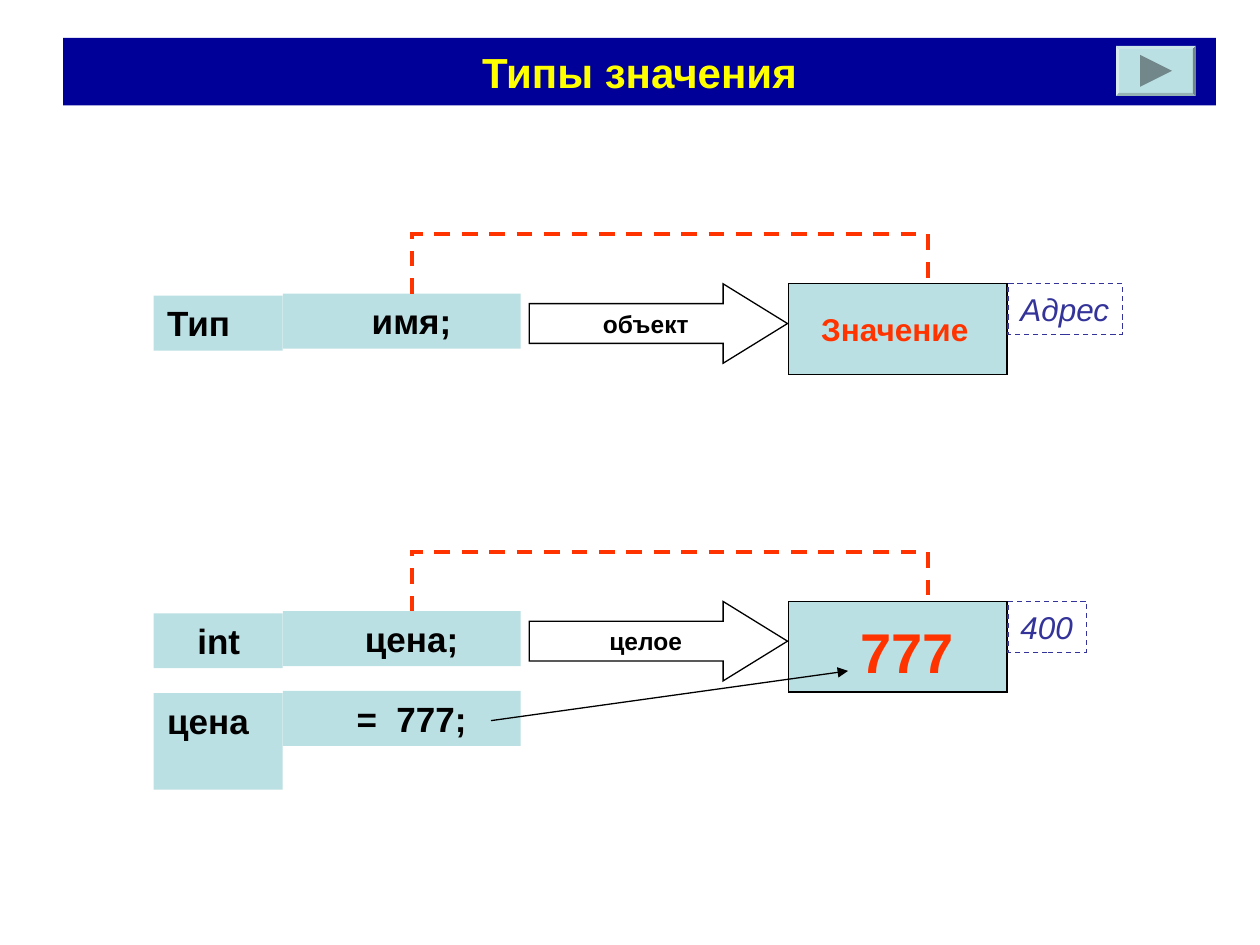
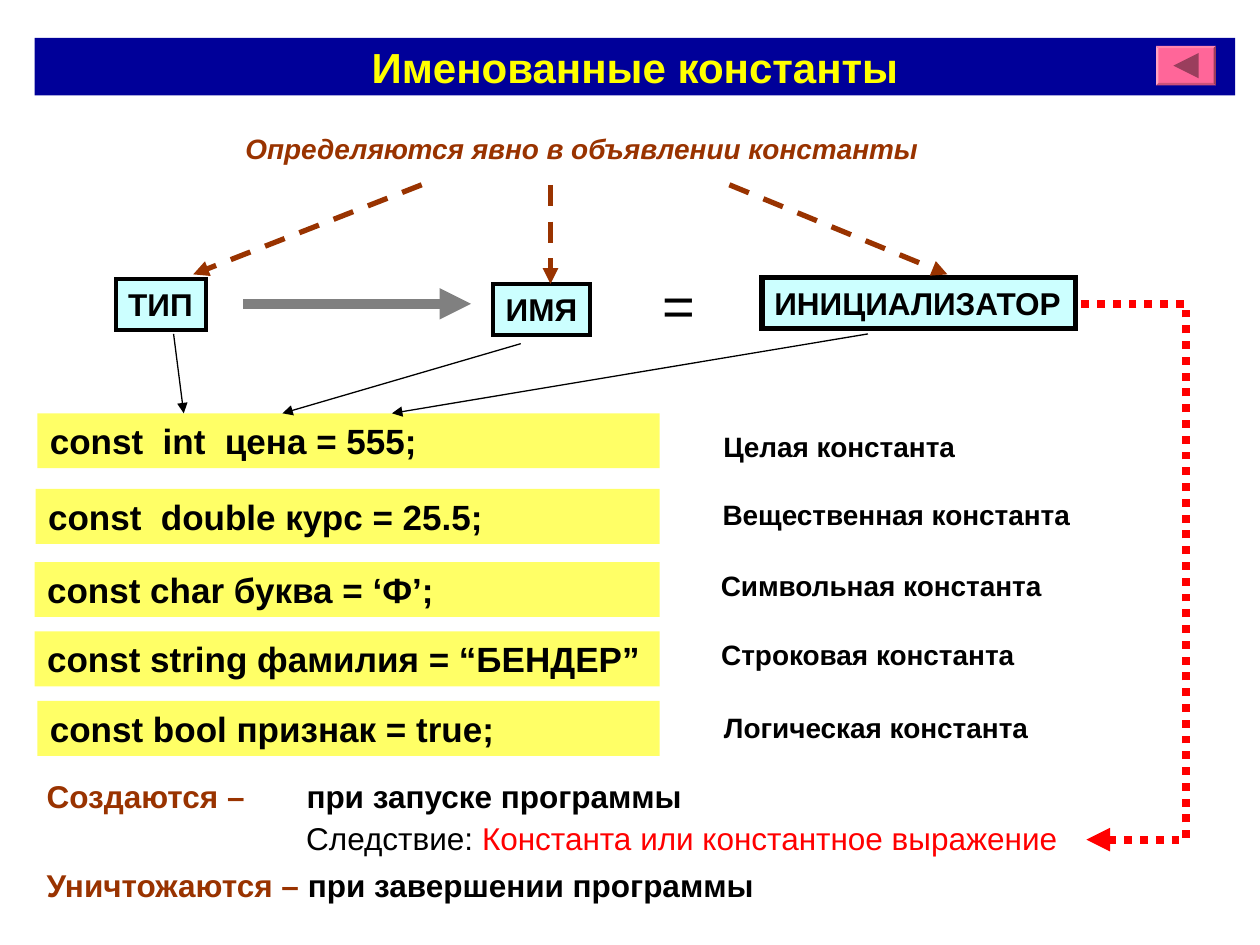
"""Build two slides on value types and named constants."""
from dataclasses import dataclass
from typing import Optional

from lxml import etree
from pptx import Presentation
from pptx import util as u
from pptx.dml.color import RGBColor
from pptx.enum import dml, shapes, text
from pptx.oxml.ns import qn

COLORS = {
    "navy": "000099", "yellow": "FFFF00", "teal": "BBE0E3", "black": "000000",
    "orange": "FF3300", "indigo": "333399", "brown": "993300", "cyan": "CCFFFF",
    "lemon": "FFFF66", "gray": "808080", "red": "FF0000", "pink": "FF6699",
    "dark teal": "718789", "dark pink": "9A3E5D",
}
STYLES = {
    "title": {"size": 24, "bold": True, "color": "yellow"},
    "code": {"size": 20, "bold": True, "color": "black"},
    "term": {"size": 18, "bold": True, "color": "black"},
    "plain": {"size": 18, "color": "black"},
    "plain red": {"size": 18, "color": "red"},
    "address": {"size": 18, "italic": True, "color": "indigo"},
    "value": {"size": 18, "bold": True, "color": "orange"},
    "big value": {"size": 32, "bold": True, "color": "orange"},
    "arrow": {"size": 14, "bold": True, "color": "black"},
    "label": {"size": 16, "bold": True, "color": "black"},
    "remark": {"size": 16, "bold": True, "italic": True, "color": "brown"},
    "lead": {"size": 18, "bold": True, "color": "brown"},
    "sign": {"size": 32, "color": "black"},
}
LEFT, CENTER = text.PP_ALIGN.LEFT, text.PP_ALIGN.CENTER
TOP, MIDDLE = text.MSO_ANCHOR.TOP, text.MSO_ANCHOR.MIDDLE
DASH, DOT = dml.MSO_LINE.DASH, dml.MSO_LINE.ROUND_DOT
PRESETS = shapes.MSO_SHAPE


@dataclass
class Stroke:
    """Colour, width and pattern of a line."""
    color: str
    width: float = 0.75
    dash: Optional[dml.MSO_LINE] = None


@dataclass
class Panel:
    """A preset shape or plain text block with its spans of text."""
    left: float
    top: float
    width: float
    height: float
    spans: tuple = ()
    fill: Optional[str] = None
    stroke: Optional[Stroke] = None
    align: text.PP_ALIGN = LEFT
    anchor: text.MSO_ANCHOR = TOP
    wrap: bool = True
    inset: float = 7.2
    tab: float = 0
    preset: shapes.MSO_SHAPE = PRESETS.RECTANGLE
    adjust: tuple = ()
    turn: float = 0


@dataclass
class Arrow:
    """A straight line with a head at its end."""
    start: tuple
    end: tuple
    stroke: Stroke


@dataclass
class Declaration:
    """One row of the declaration diagram."""
    shift: float
    kind: str
    kind_align: text.PP_ALIGN
    name: str
    link: str
    address: str
    address_width: float
    value: Panel


@dataclass
class Constant:
    """A constant with its caption."""
    code: str
    left: float
    top: float
    caption: str
    caption_left: float
    caption_top: float


def paint(color: str) -> RGBColor:
    """Turn a colour name into a colour value."""
    return RGBColor.from_string(COLORS[color])


def draw_stroke(line, stroke: Optional[Stroke]) -> None:
    """Apply a stroke with sharp corners, or hide the line."""
    if stroke is None:
        line.fill.background()
        return
    line.color.rgb = paint(stroke.color)
    line.width = u.Pt(stroke.width)
    if stroke.dash is not None:
        line.dash_style = stroke.dash
    etree.SubElement(line._get_or_add_ln(), qn("a:miter"), lim="800000")


def add_head(line, end: str) -> None:
    """Add a triangle at headEnd or tailEnd."""
    etree.SubElement(line._get_or_add_ln(), qn(f"a:{end}"), type="triangle")


def add_span(para, words: str, style: str) -> None:
    """Add a run in a named style."""
    span = para.add_run()
    span.text = words
    span.font.name = "Arial"
    for key, value in STYLES[style].items():
        if key == "color":
            span.font.color.rgb = paint(value)
        else:
            setattr(span.font, key, u.Pt(value) if key == "size" else value)


def draw_panel(page, panel: Panel) -> None:
    """Draw a panel with its text."""
    frame = [u.Pt(n) for n in (panel.left, panel.top, panel.width, panel.height)]
    if panel.fill or panel.stroke:
        box = page.shapes.add_shape(panel.preset, *frame)
        box.shadow.inherit = False
        box.rotation = panel.turn
        for index, value in enumerate(panel.adjust):
            box.adjustments[index] = value
        draw_stroke(box.line, panel.stroke)
    else:
        box = page.shapes.add_textbox(*frame)
    if panel.fill:
        box.fill.solid()
        box.fill.fore_color.rgb = paint(panel.fill)
    else:
        box.fill.background()
    if not panel.spans:
        return
    layout = {
        "word_wrap": panel.wrap, "vertical_anchor": panel.anchor,
        "margin_left": u.Pt(panel.inset), "margin_right": u.Pt(7.2),
        "margin_top": u.Pt(3.6), "margin_bottom": u.Pt(3.6),
    }
    if not panel.wrap:
        layout["auto_size"] = text.MSO_AUTO_SIZE.SHAPE_TO_FIT_TEXT
    for key, value in layout.items():
        setattr(box.text_frame, key, value)
    para = box.text_frame.paragraphs[0]
    para.alignment = panel.align
    if panel.tab:
        stops = etree.SubElement(para._p.get_or_add_pPr(), qn("a:tabLst"))
        etree.SubElement(stops, qn("a:tab"), pos=str(u.Pt(panel.tab)), algn="l")
    for words, style in panel.spans:
        add_span(para, words, style)


def draw_arrow(page, arrow: Arrow) -> None:
    """Draw a straight arrow."""
    ends = [u.Pt(n) for n in (*arrow.start, *arrow.end)]
    line = page.shapes.add_connector(shapes.MSO_CONNECTOR.STRAIGHT, *ends)
    etree.SubElement(line._element.spPr, qn("a:effectLst"))
    draw_stroke(line.line, arrow.stroke)
    add_head(line.line, "tailEnd")


def draw_route(page, points: list, stroke: Stroke, head: bool = False) -> None:
    """Draw an open bent line."""
    first, *rest = [(u.Pt(x), u.Pt(y)) for x, y in points]
    builder = page.shapes.build_freeform(*first)
    builder.add_line_segments(rest, close=False)
    route = builder.convert_to_shape()
    route.shadow.inherit = False
    route.fill.background()
    draw_stroke(route.line, stroke)
    if head:
        add_head(route.line, "headEnd")


def draw_title(page, words: str, left: float, width: float, height: float) -> None:
    """Draw the title band."""
    draw_panel(page, Panel(left, 21.6, width, height, ((words, "title"),),
                           "navy", align=CENTER, anchor=MIDDLE))


def draw_button(page, left: float, width: float, height: float, color: str,
                turn: float) -> None:
    """Draw a bevelled button with a turned triangle."""
    side = height * 0.64
    draw_panel(page, Panel(left, 26.2, width, height, fill=color,
                           preset=PRESETS.BEVEL, adjust=(0.06,)))
    draw_panel(page, Panel(left + (width - side) / 2, 26.2 + (height - side) / 2,
                           side, side, fill=f"dark {color}", turn=turn,
                           preset=PRESETS.ISOSCELES_TRIANGLE))


def draw_tiles(page, top: float, kind: str, name: str, kind_align=LEFT,
               kind_height: float = 31.4) -> None:
    """Draw a pair of code tiles."""
    draw_panel(page, Panel(87.8, top + 1.2, 73.8, kind_height, ((kind, "code"),),
                           "teal", align=kind_align, inset=7.8))
    draw_panel(page, Panel(161.6, top, 136, 31.4, ((name, "code"),),
                           "teal", align=CENTER, inset=18.3))


def draw_declaration(page, row: Declaration) -> None:
    """Draw type, name, object arrow, value and address."""
    shift = row.shift
    draw_tiles(page, 167.8 + shift, row.kind, row.name, row.kind_align)
    draw_panel(page, Panel(450.6, 162.2 + shift, 124.8, 51.8,
                           fill="teal", stroke=Stroke("black")))
    draw_panel(page, Panel(576, 162.2 + shift, row.address_width, 29,
                           ((row.address, "address"),),
                           stroke=Stroke("indigo", dash=DASH), wrap=False))
    draw_panel(page, row.value)
    draw_panel(page, Panel(302.4, 162.2 + shift, 147.6, 45.4, ((row.link, "arrow"),),
                           stroke=Stroke("black"), align=CENTER, anchor=MIDDLE,
                           inset=11.1, preset=PRESETS.RIGHT_ARROW, adjust=(0.5, 0.81)))
    points = [(235.2, 167.8), (235.2, 133.8), (530.2, 133.8), (530.2, 162.2)]
    draw_route(page, [(x, y + shift) for x, y in points], Stroke("orange", 2.25, DASH))


def build_types(page) -> None:
    """Build the slide on value types."""
    draw_title(page, "Типы значения", 36, 658.8, 38.6)
    rows = [
        Declaration(0, "Тип", LEFT, "имя;", "объект", "Адрес", 65.4,
                    Panel(462.2, 173.6, 98.6, 29, (("Значение", "value"),), wrap=False)),
        Declaration(181.5, "int", CENTER, "цена;", "целое", "400", 45,
                    Panel(484.6, 349.2, 67.6, 46, (("777", "big value"),))),
    ]
    for row in rows:
        draw_declaration(page, row)
    draw_tiles(page, 394.8, "цена", "=  777;", kind_height=55.2)
    draw_button(page, 637.8, 45.6, 28.6, "teal", 90)
    draw_arrow(page, Arrow((280.6, 411.8), (484.6, 383.4), Stroke("black")))


def build_constants(page) -> None:
    """Build the slide on named constants."""
    draw_title(page, "Именованные константы", 19.8, 686, 33)
    thick, thin = Stroke("brown", 3, DASH), Stroke("black")
    border, heavy = Stroke("black", 2.25), Stroke("black", 3)
    panels = [
        Panel(133.2, 71.6, 471, 26.6,
              (("Определяются явно в объявлении константы", "remark"),)),
        Panel(66.2, 159.6, 51.6, 29, (("ТИП", "term"),), "cyan", border, wrap=False),
        Panel(281.9, 162.4, 55.4, 29, (("ИМЯ", "term"),), "cyan", border, wrap=False),
        Panel(435.4, 158.6, 179.4, 29, (("ИНИЦИАЛИЗАТОР", "term"),), "cyan", heavy,
              wrap=False),
        Panel(371.5, 151.2, 33.2, 46, (("=", "sign"),), wrap=False),
        Panel(19.6, 440.2, 629, 29,
              (("Создаются –\t", "lead"), ("при запуске программы", "term")), tab=148.5),
        Panel(167.9, 464.2, 444.6, 29,
              (("Следствие: ", "plain"),
               ("Константа или константное выражение", "plain red")), wrap=False),
        Panel(19.6, 491.2, 629, 29,
              (("Уничтожаются – ", "lead"), ("при завершении программы", "term"))),
    ]
    constants = [
        Constant("const  int  цена = 555;", 21.4, 236.2, "Целая константа", 406.2, 242),
        Constant("сonst  double курс = 25.5;", 20.4, 279.4,
                 "Вещественная константа", 405.8, 281),
        Constant("const char буква = ‘Ф’;", 19.8, 321.2,
                 "Символьная константа", 404.8, 321.2),
        Constant("сonst string фамилия = “БЕНДЕР”", 19.8, 360.8,
                 "Строковая константа", 405, 360.8),
        Constant("const bool признак = true;", 21.4, 400.6,
                 "Логическая константа", 406.6, 402.6),
    ]
    for item in constants:
        panels.append(Panel(item.left, item.top, 377 - item.left, 31.4,
                            ((item.code, "code"),), "lemon"))
        panels.append(Panel(item.caption_left, item.caption_top, 254, 26.6,
                            ((item.caption, "label"),)))
    for panel in panels:
        draw_panel(page, panel)
    draw_button(page, 660.6, 34.2, 22.6, "pink", 270)
    arrows = [
        Arrow((139, 173.6), (269.2, 173.6), Stroke("gray", 6)),
        Arrow((241, 105.6), (110.4, 156.8), thick),
        Arrow((416.8, 105.6), (541.4, 156.8), thick),
        Arrow((314.6, 105.6), (314.6, 162.2), thick),
        Arrow((99.2, 190.8), (105, 236.2), thin),
        Arrow((297.6, 196.4), (161.4, 236.2), thin),
        Arrow((496, 190.8), (224, 236.2), thin),
    ]
    for arrow in arrows:
        draw_arrow(page, arrow)
    draw_route(page, [(620.8, 479.8), (677.6, 479.8), (677.6, 173.6), (614.8, 173.6)],
               Stroke("red", 4.5, DOT), head=True)


def main() -> None:
    """Create and save the deck."""
    deck = Presentation()
    deck.slide_width, deck.slide_height = u.Pt(720), u.Pt(540)
    for build in (build_types, build_constants):
        build(deck.slides.add_slide(deck.slide_layouts[6]))
    deck.save("out.pptx")


if __name__ == "__main__":
    main()
